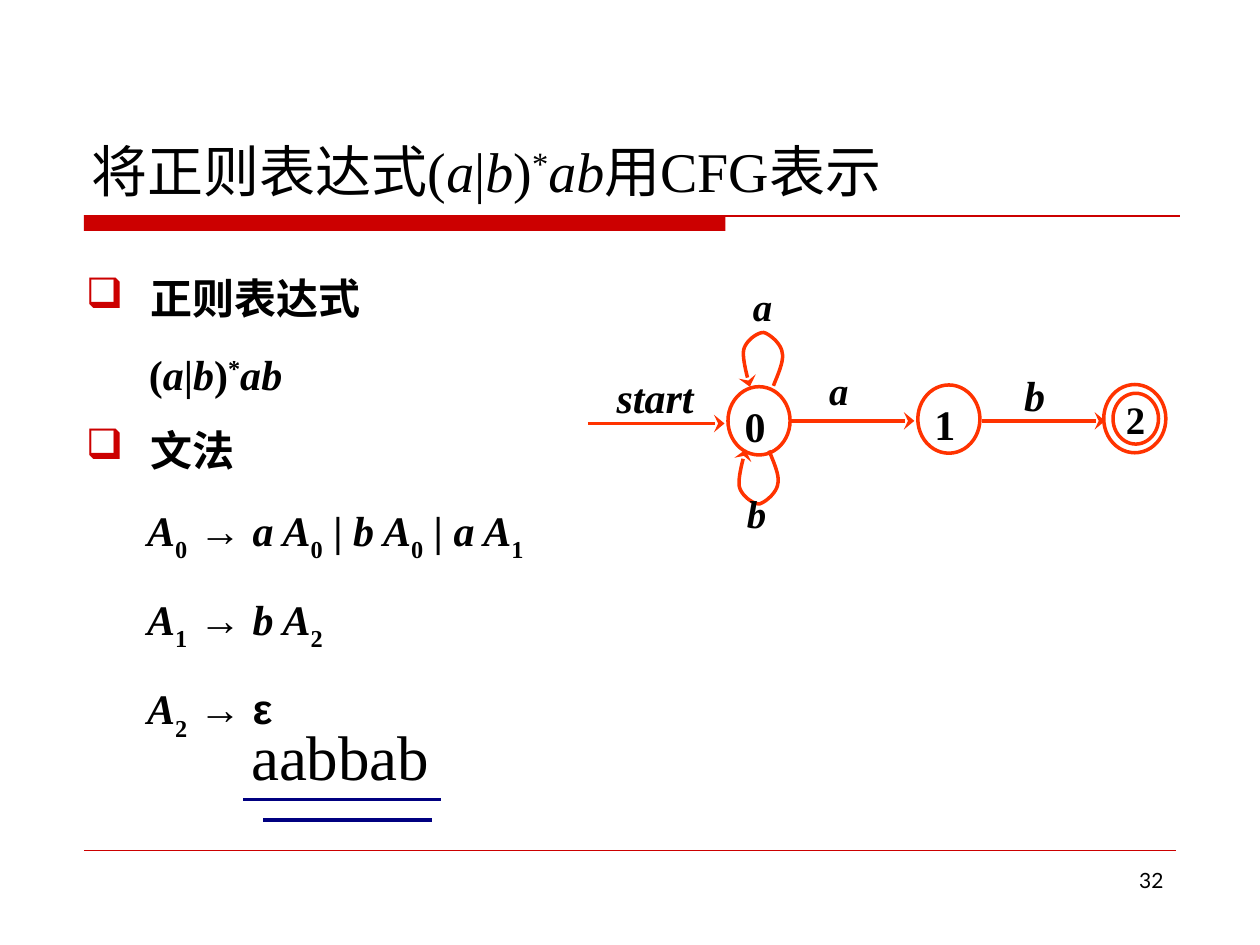
from lxml.etree import SubElement
from pptx import Presentation
from pptx.dml.color import RGBColor
from pptx.enum.shapes import MSO_CONNECTOR, MSO_SHAPE
from pptx.enum.text import MSO_ANCHOR, MSO_AUTO_SIZE, PP_ALIGN
from pptx.oxml.ns import qn
from pptx.util import Pt

COLORS = {"black": "000000", "red": "CC0000", "orange": "FF3300", "navy": "000080"}
SERIF = "Times New Roman"
INSETS = (7.2, 3.6, 7.2, 3.6)
LABEL_INSETS = (4.3, 2.2, 4.3, 2.2)
STATE_INSETS = (4.3, 2.2, 1.4, 3.6)
BASELINES = {"^": "30000", "_": "-30000"}
LOOP_START = (442, 220.5)
LOOP_CURVES = [
    [(443, 217.5), (448.5, 206.5), (447, 201.5)],
    [(446.5, 196.5), (440, 191), (436.5, 190)],
    [(432.5, 190), (426, 195), (425, 200)],
    [(424, 205), (427.5, 216.5), (428.5, 221)],
]
LOOP_MIRROR = 478

EXPRESSION = [("(", ""), ("a", "i"), ("|", ""), ("b", "i"), (")", ""),
              ("*", "^"), ("ab", "i")]
TITLE = [("将正则表达式", ""), *EXPRESSION, ("用CFG表示", "")]


def color(name):
    return RGBColor.from_string(COLORS[name])


def nonterminal(number, prefix=""):
    return [(prefix + "A", "i"), (number, "_")]


def rule(number, *right_side):
    return [*nonterminal(number), (" → ", "arial"), *right_side]


def set_indent(paragraph, left, bullet):
    properties = paragraph._p.get_or_add_pPr()
    properties.set("marL", str(Pt(left)))
    properties.set("indent", str(Pt(-left if bullet else 0)))
    if bullet:
        tint = SubElement(properties, qn("a:buClr"))
        SubElement(tint, qn("a:srgbClr")).set("val", COLORS["red"])
        SubElement(properties, qn("a:buChar")).set("char", bullet)


def write_text(frame, paragraphs, size=24, font=SERIF, bold=False, align=PP_ALIGN.LEFT,
               anchor=MSO_ANCHOR.TOP, insets=INSETS, spacing=1.0, grow=False):
    frame.word_wrap = not grow
    frame.auto_size = MSO_AUTO_SIZE.SHAPE_TO_FIT_TEXT if grow else MSO_AUTO_SIZE.NONE
    frame.vertical_anchor = anchor
    frame.margin_left, frame.margin_top, frame.margin_right, frame.margin_bottom = map(Pt, insets)
    for index, (runs, indent, bullet) in enumerate(paragraphs):
        paragraph = frame.add_paragraph() if index else frame.paragraphs[0]
        paragraph.alignment = align
        paragraph.line_spacing = spacing
        set_indent(paragraph, indent, bullet)
        for text, style in runs:
            run = paragraph.add_run()
            run.text = text
            run.font.size = Pt(size)
            run.font.name = "Arial" if style == "arial" else font
            run.font.bold = bold
            run.font.italic = style == "i"
            run.font.color.rgb = color("black")
            if style in BASELINES:
                run._r.get_or_add_rPr().set("baseline", BASELINES[style])


def add_text(slide, box, paragraphs, **text_format):
    frame = slide.shapes.add_textbox(*map(Pt, box)).text_frame
    write_text(frame, paragraphs, **text_format)


def add_label(slide, box, text, size=22.2, spacing=0.9):
    add_text(slide, box, [([(text, "i")], 0, None)], size=size, bold=True,
             insets=LABEL_INSETS, spacing=spacing)


def style_line(shape, tint, width, arrow=False):
    shape.line.color.rgb = color(tint)
    shape.line.width = Pt(width)
    if arrow:
        head = SubElement(shape.line._get_or_add_ln(), qn("a:tailEnd"))
        head.set("type", "stealth")
        head.set("w", "lg")


def add_line(slide, x1, x2, y, tint, width=2, arrow=False):
    line = slide.shapes.add_connector(MSO_CONNECTOR.STRAIGHT, Pt(x1), Pt(y), Pt(x2), Pt(y))
    style_line(line, tint, width, arrow)
    SubElement(line._element.spPr, qn("a:effectLst"))


def add_state(slide, box, number="", **text_format):
    state = slide.shapes.add_shape(MSO_SHAPE.OVAL, *map(Pt, box))
    state.shadow.inherit = False
    state.fill.background()
    style_line(state, "orange", 2)
    if number:
        write_text(state.text_frame, [([(number, "")], 0, None)], bold=True, **text_format)


def curve_points(start, curves, steps=12):
    points = [start]
    for controls in curves:
        corners = [points[-1], *controls]
        for step in range(1, steps + 1):
            t = step / steps
            weights = ((1 - t) ** 3, 3 * t * (1 - t) ** 2, 3 * t * t * (1 - t), t ** 3)
            points.append(tuple(sum(w * c[axis] for w, c in zip(weights, corners))
                                for axis in (0, 1)))
    return points


def add_loop(slide, below=False):
    points = curve_points(LOOP_START, LOOP_CURVES)
    if below:
        points = [(x - 2.5, LOOP_MIRROR - y) for x, y in points]
    points = [(Pt(x), Pt(y)) for x, y in points]
    builder = slide.shapes.build_freeform(*points[0])
    builder.add_line_segments(points[1:], close=False)
    loop = builder.convert_to_shape()
    loop.shadow.inherit = False
    loop.fill.background()
    style_line(loop, "orange", 2, arrow=True)


def add_frame(slide):
    bar = slide.shapes.add_shape(MSO_SHAPE.RECTANGLE, Pt(48), Pt(123), Pt(366.5), Pt(9))
    bar.shadow.inherit = False
    bar.fill.solid()
    bar.fill.fore_color.rgb = color("red")
    bar.line.fill.background()
    add_line(slide, 48, 674.5, 123.25, "red", 1)
    add_line(slide, 48, 672, 486, "red", 0.25)
    add_text(slide, (516, 492, 156, 37.5), [([("32", "")], 0, None)],
             size=12, font="Lato", align=PP_ALIGN.RIGHT)


def add_grammar(slide):
    add_text(slide, (45, 24, 630, 96), [(TITLE, 0, None)], size=32, anchor=MSO_ANCHOR.BOTTOM)
    bar = (" | ", "")
    first_rule = rule("0", *nonterminal("0", "a "), bar, *nonterminal("0", "b "), bar,
                      *nonterminal("1", "a "))
    add_text(slide, (42, 138, 540, 360), [
        ([("正则表达式", "")], 36.75, "❑"),
        (EXPRESSION, 36, None),
        ([("文法", "")], 36.75, "❑"),
        (first_rule, 35, None),
        (rule("1", *nonterminal("2", "b ")), 35, None),
        (rule("2", ("ε", "arial")), 35, None),
    ], bold=True, spacing=1.5)


def add_automaton(slide):
    add_state(slide, (524.5, 220, 35.5, 39), "1", insets=STATE_INSETS)
    add_state(slide, (630.75, 219.75, 35.5, 39))
    add_state(slide, (636, 224.75, 26, 29), "2", size=22.2, spacing=0.9,
              insets=(3.6, 0, 0.7, 0))
    add_state(slide, (416, 221, 35.5, 39), "0", insets=STATE_INSETS)
    for x1, x2, y in [(336, 414, 242), (452, 522.5, 240.5), (561, 631.5, 240.5)]:
        add_line(slide, x1, x2, y, "orange", arrow=True)
    add_loop(slide)
    add_loop(slide, below=True)
    add_label(slide, (348, 210, 57, 37), "start", size=24, spacing=1.0)
    add_label(slide, (469.5, 210.5, 28, 32), "a")
    add_label(slide, (426, 162.5, 28, 32), "a")
    add_label(slide, (422.5, 280.5, 29, 32), "b")
    add_label(slide, (581, 209, 28, 35), "b", size=24, spacing=1.0)


def add_sample(slide):
    add_text(slide, (135, 406, 119, 50.5), [([("aabbab", "")], 0, None)], size=36,
             align=PP_ALIGN.CENTER, anchor=MSO_ANCHOR.BOTTOM, grow=True)
    add_line(slide, 139, 252, 457, "navy")
    add_line(slide, 150.5, 247, 468.5, "navy")


def main():
    deck = Presentation()
    deck.slide_width, deck.slide_height = Pt(720), Pt(540)
    slide = deck.slides.add_slide(deck.slide_layouts[6])
    add_frame(slide)
    add_grammar(slide)
    add_automaton(slide)
    add_sample(slide)
    deck.save("out.pptx")


if __name__ == "__main__":
    main()
